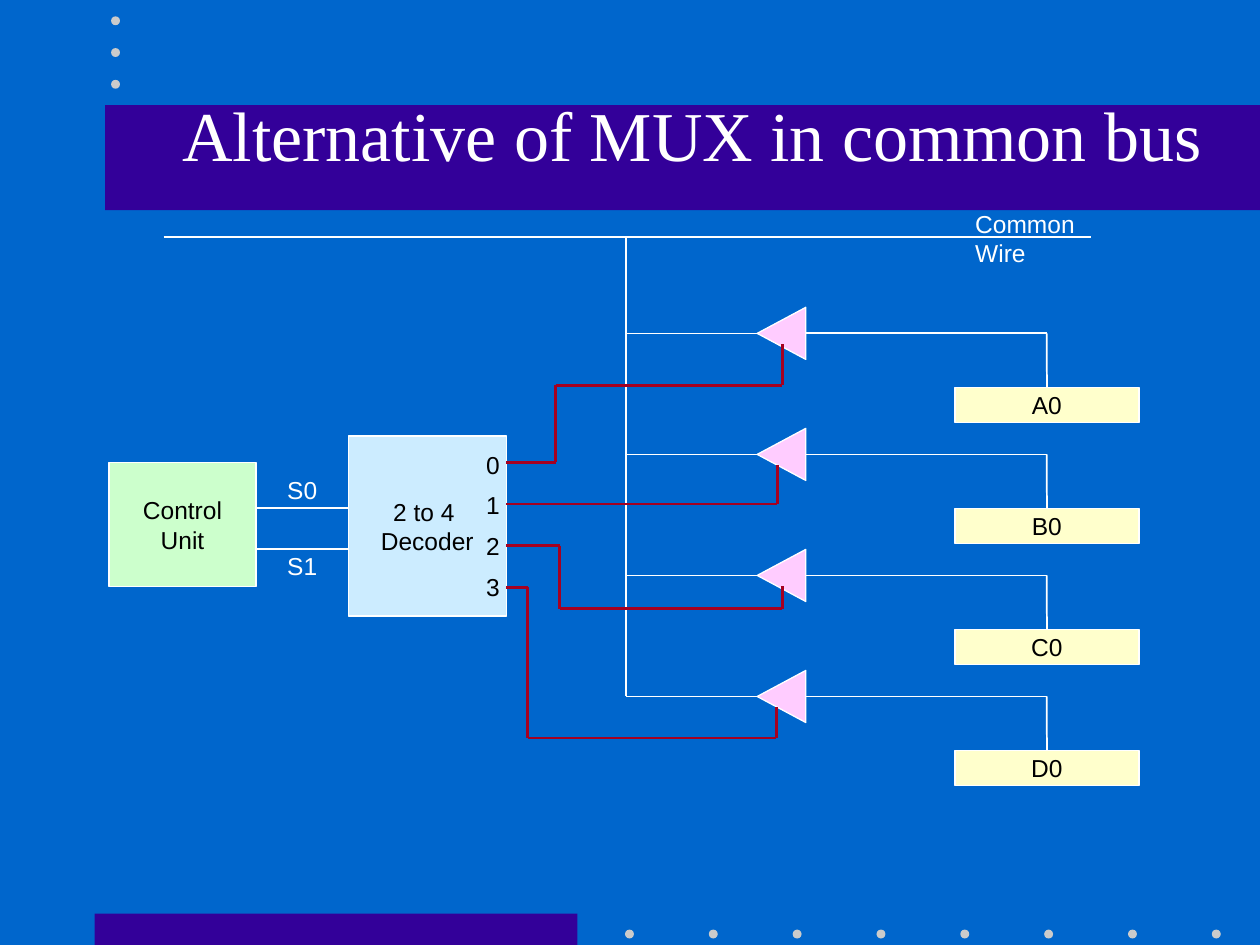
from pptx import Presentation
from pptx.util import Cm, Pt
from pptx.dml.color import RGBColor
from pptx.enum.shapes import MSO_SHAPE, MSO_CONNECTOR
from pptx.enum.text import PP_ALIGN, MSO_ANCHOR, MSO_AUTO_SIZE
from pptx.oxml.ns import qn
from lxml.etree import SubElement

WHITE, BLACK, RED = "FFFFFF", "000000", "A50021"
NAVY, GREY = "330099", "CBCBCB"


def color(code):
    return RGBColor.from_string(code)


def style(run, size, face, code):
    run.font.size = Pt(size)
    run.font.name = face
    run.font.color.rgb = color(code)


def write(frame, lines, code, align=PP_ALIGN.LEFT):
    frame.word_wrap = False
    for i, line in enumerate(lines):
        para = frame.add_paragraph() if i else frame.paragraphs[0]
        para.alignment = align
        run = para.add_run()
        run.text = line
        style(run, 14, "Arial", code)


def shape(slide, kind, x, y, w, h, fill, edge=None):
    item = slide.shapes.add_shape(kind, Cm(x), Cm(y), Cm(w), Cm(h))
    item.shadow.inherit = False
    item.fill.solid()
    item.fill.fore_color.rgb = color(fill)
    if edge:
        item.line.color.rgb = color(edge)
        item.line.width = Pt(0.75)
    else:
        item.line.fill.background()
    return item


def block(slide, x, y, w, h, fill, lines):
    item = shape(slide, MSO_SHAPE.RECTANGLE, x, y, w, h, fill, WHITE)
    item.text_frame.vertical_anchor = MSO_ANCHOR.MIDDLE
    write(item.text_frame, lines, BLACK, PP_ALIGN.CENTER)
    return item


def label(slide, x, y, w, h, lines, code=WHITE):
    box = slide.shapes.add_textbox(Cm(x), Cm(y), Cm(w), Cm(h))
    write(box.text_frame, lines, code)


def wire(slide, points, code=WHITE, width=1):
    for (x1, y1), (x2, y2) in zip(points, points[1:]):
        line = slide.shapes.add_connector(
            MSO_CONNECTOR.STRAIGHT, Cm(x1), Cm(y1), Cm(x2), Cm(y2))
        line.line.color.rgb = color(code)
        line.line.width = Pt(width)
        SubElement(line.element.spPr, qn("a:effectLst"))
    return line


def dots(slide, x, y, count, dx, dy):
    for i in range(count):
        shape(slide, MSO_SHAPE.OVAL, x + i * dx, y + i * dy, 0.18, 0.18, GREY)


def footer(slide, x, y):
    shape(slide, MSO_SHAPE.RECTANGLE, x, y, 9.73, 0.64, NAVY)
    dots(slide, x + 10.69, y + 0.32, 8, 1.69, 0)


def header(slide, x, y):
    shape(slide, MSO_SHAPE.RECTANGLE, x, y, 25.4 - x, 2.12, NAVY)
    dots(slide, x + 0.12, y - 1.79, 3, 0, 0.64)
    title = slide.shapes.title
    title.left, title.top = Cm(x), Cm(y - 0.85)
    title.width, title.height = Cm(25.4 - x), Cm(2.74)
    frame = title.text_frame
    frame.auto_size = MSO_AUTO_SIZE.NONE
    frame.word_wrap = True
    frame.vertical_anchor = MSO_ANCHOR.MIDDLE
    para = frame.paragraphs[0]
    para.alignment = PP_ALIGN.CENTER
    for text, size in ((" ", 44), ("Alternative of MUX in common bus", 40)):
        run = para.add_run()
        run.text = text
        style(run, size, "Times New Roman", WHITE)
    title.element.getparent().append(title.element)


def bus(slide, x, y, drop):
    wire(slide, [(x, y), (x + 18.7, y)])
    wire(slide, [(x + 9.32, y), (x + 9.32, drop)])
    label(slide, x + 16.11, y - 0.69, 2.51, 1.45, ["Common", "Wire"])


def control(slide, x, y):
    block(slide, x, y, 2.96, 2.51, "CCFFCC", ["Control", "Unit"])
    for name, dy, gap in (("S0", 0.92, -0.79), ("S1", 1.75, -0.08)):
        wire(slide, [(x + 2.96, y + dy), (x + 4.82, y + dy)], width=0.75)
        label(slide, x + 3.34, y + dy + gap, 1.12, 0.87, [name])


def decoder(slide, x, y):
    block(slide, x, y, 3.19, 3.63, "CCECFF", ["2 to 4 ", "Decoder"])
    for i in range(4):
        label(slide, x + 2.53, y + 0.15 + 0.82 * i, 0.79, 0.87, [str(i)], BLACK)


def lane(slide, x, y, name):
    wire(slide, [(x, y), (x + 2.64, y)], width=0.75)
    gate = shape(slide, MSO_SHAPE.ISOSCELES_TRIANGLE,
                 x + 2.61, y - 0.49, 1.05, 0.98, "FFCCFF", WHITE)
    gate.rotation = 270
    store = block(slide, x + 6.63, y + 1.09, 3.71, 0.71, "FFFFCC", [name])
    mid = x + 8.48
    drop = wire(slide, [(x + 3.63, y), (mid, y), (mid, y + 1.09)])
    drop.end_connect(store, 0)


def select(slide, x, y, bend, turn, tip, end):
    wire(slide, [(x, y), (bend, y), (bend, turn), (tip, turn), (tip, end)],
         RED, 1.5)


def main():
    deck = Presentation()
    deck.slide_width, deck.slide_height = Cm(25.4), Cm(19.05)
    slide = deck.slides.add_slide(deck.slide_layouts[5])
    slide.background.fill.solid()
    slide.background.fill.fore_color.rgb = color("0066CC")
    footer(slide, 1.91, 18.42)
    header(slide, 2.12, 2.12)
    rows = [6.72 + 2.44 * i for i in range(4)]
    bus(slide, 3.3, 4.78, rows[-1])
    control(slide, 2.2, 9.32)
    decoder(slide, 7.02, 8.79)
    for row, name in zip(rows, ("A0", "B0", "C0", "D0")):
        lane(slide, 12.62, row, name)
    outs = [9.32 + 0.84 * i for i in range(4)]
    select(slide, 10.21, outs[0], 11.2, 7.77, 15.77, rows[0] + 0.22)
    wire(slide, [(10.21, outs[1]), (15.67, outs[1]), (15.67, rows[1] + 0.22)],
         RED, 1.5)
    select(slide, 10.21, outs[2], 11.28, 12.27, 15.77, rows[2] + 0.22)
    select(slide, 10.21, outs[3], 10.64, 14.88, 15.65, rows[3] + 0.22)
    deck.save("out.pptx")


if __name__ == "__main__":
    main()
